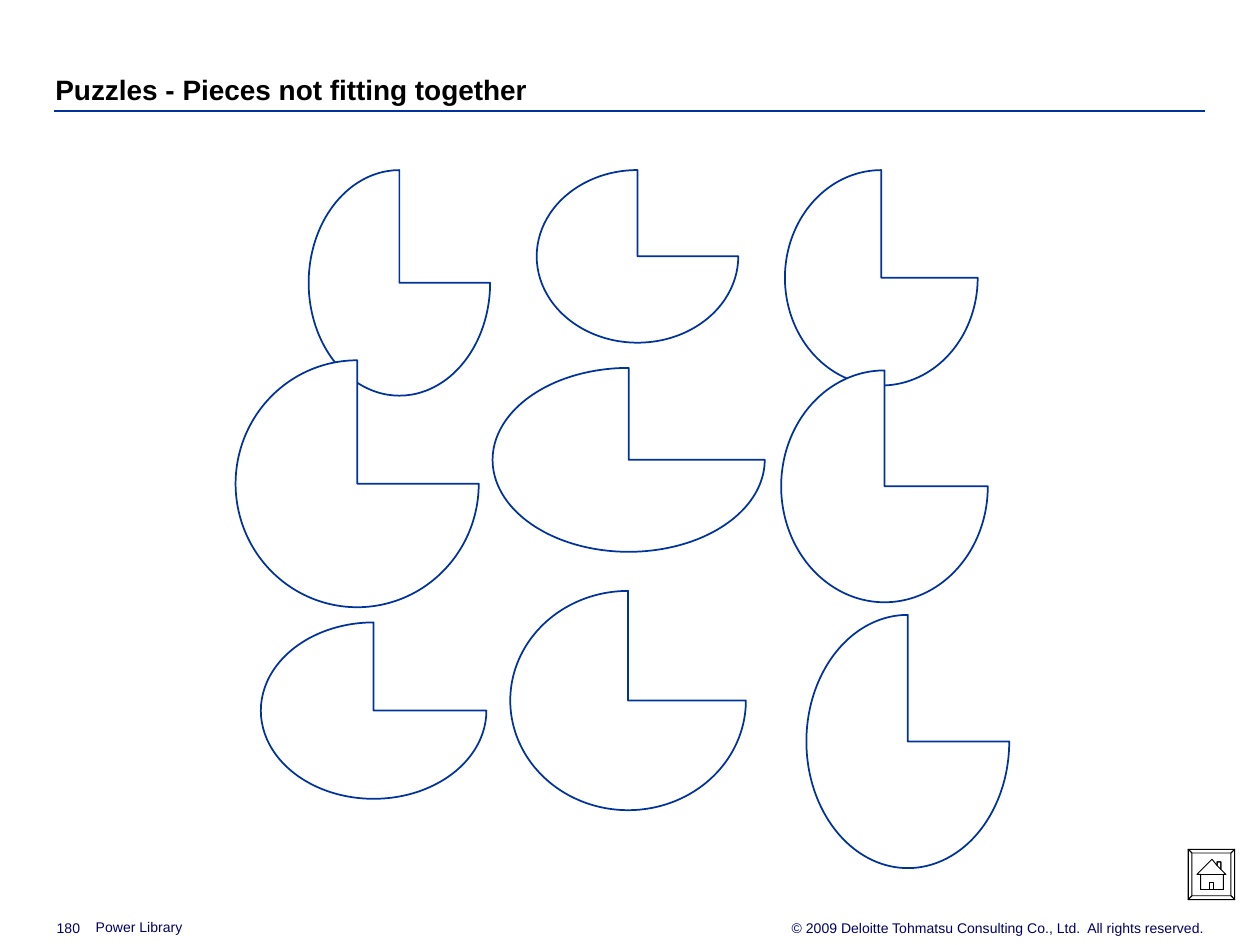
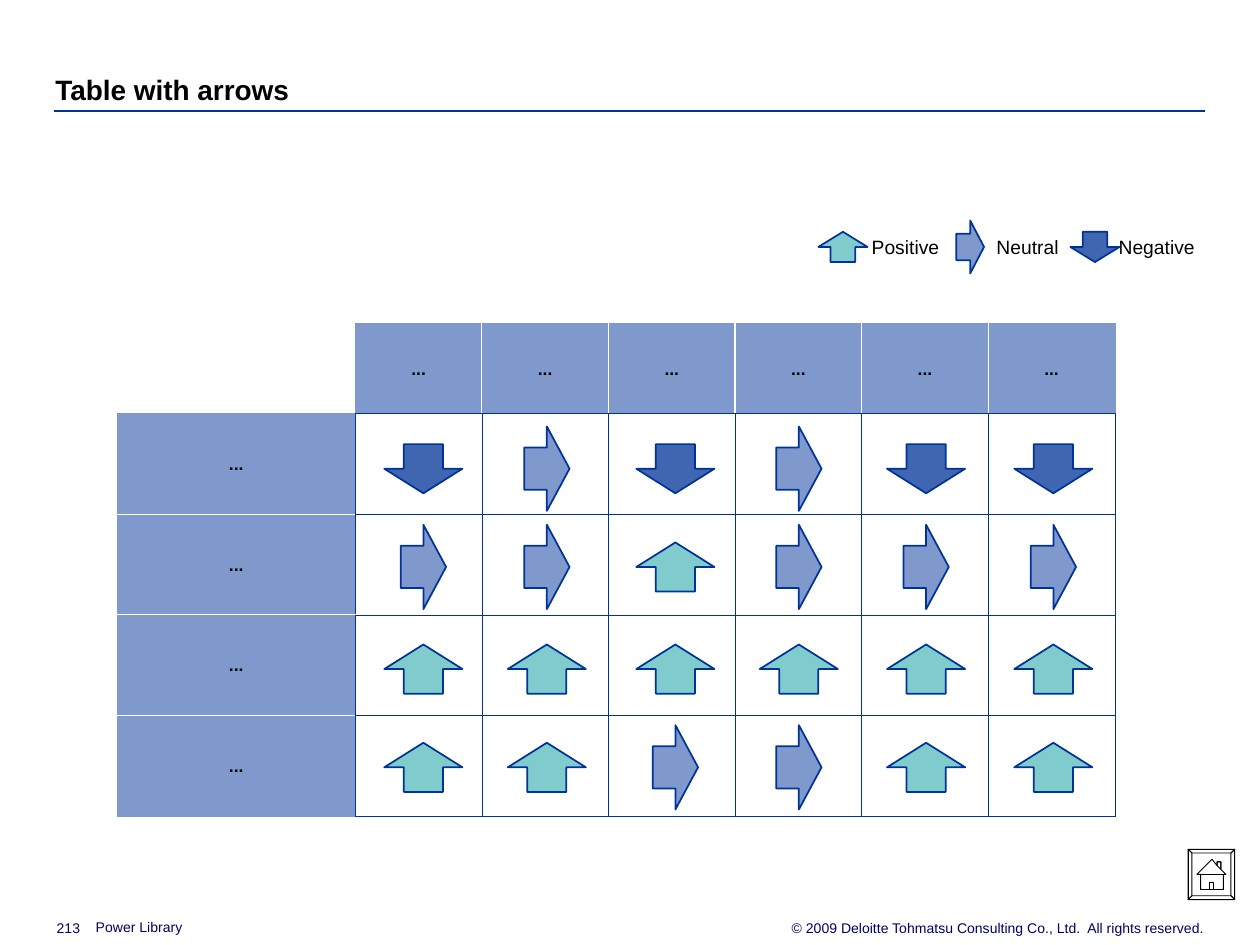
from dataclasses import dataclass

import pptx
import pptx.dml.color
import pptx.enum.shapes
import pptx.enum.text
import pptx.oxml.ns
import pptx.util
from lxml import etree

Inches, Pt = pptx.util.Inches, pptx.util.Pt
SHAPE = pptx.enum.shapes.MSO_SHAPE
ALIGN = pptx.enum.text.PP_ALIGN
ANCHOR = pptx.enum.text.MSO_ANCHOR
qn = pptx.oxml.ns.qn


@dataclass(frozen=True)
class Theme:
    font: str = "Arial"
    black: str = "000000"
    white: str = "FFFFFF"
    navy: str = "003399"
    footer: str = "000066"
    band: str = "8099CC"
    teal: str = "80CCCC"
    blue: str = "4066B2"
    title_size: float = 16
    legend_size: float = 11
    table_size: float = 10
    footer_size: float = 8
    line_spacing: float = 1.06


T = Theme()

LIBRARY = "Power Library"
COPYRIGHT = "© 2009 Deloitte Tohmatsu Consulting Co., Ltd.  All rights reserved."

# Outlines of the home button, in hundredths of an inch
HOME_BUTTON = [
    [(943, 674), (980, 674), (980, 714), (943, 714)],
    [(943, 674), (980, 674), (977, 677), (946, 677)],
    [(980, 674), (980, 714), (977, 711), (977, 677)],
    [(980, 714), (943, 714), (946, 711), (977, 711)],
    [(943, 714), (943, 674), (946, 677), (946, 711)],
    [(962, 682), (966, 687), (966, 684), (969, 684), (969, 690), (973, 694),
     (971, 694), (971, 706), (953, 706), (953, 694), (950, 694)],
    [(966, 687), (966, 684), (969, 684), (969, 690)],
    [(960, 700), (963, 700), (963, 706), (971, 706), (971, 694), (953, 694),
     (953, 706), (960, 706)],
]

# Puzzle pieces from back to front: left, top, width, height
PIECES = [
    (2.45, 1.35, 1.44, 1.79), (4.26, 1.35, 1.6, 1.37), (6.23, 1.35, 1.53, 1.71),
    (1.87, 2.86, 1.93, 1.96), (3.91, 2.92, 2.16, 1.46), (4.05, 4.69, 1.87, 1.74),
    (2.07, 4.94, 1.79, 1.4), (6.2, 2.94, 1.64, 1.84), (6.4, 4.88, 1.61, 2.01),
]

# Rating: colour, rotation, arrow size in the table, arrow size in the legend
RATINGS = {
    "Positive": (T.teal, 0, (0.62, 0.39), (0.39, 0.24)),
    "Neutral": (T.band, 90, (0.67, 0.36), (0.42, 0.22)),
    "Negative": (T.blue, 180, (0.62, 0.39), (0.39, 0.24)),
}
LETTERS = {name[:3]: name for name in RATINGS}
GRID = [
    "Neg Neu Neg Neu Neg Neg",
    "Neu Neu Pos Neu Neu Neu",
    "Pos Pos Pos Pos Pos Pos",
    "Pos Pos Neu Neu Pos Pos",
]
ARROW_X = [3.36, 4.34, 5.36, 6.34, 7.35, 8.36]
ARROW_Y = [3.72, 4.5, 5.31, 6.09]
# Rating, arrow centre, label left, label width
LEGEND = [
    ("Positive", 6.69, 6.82, 0.73),
    ("Neutral", 7.7, 7.81, 0.69),
    ("Negative", 8.69, 8.78, 0.8),
]
LEGEND_Y = 1.96

TABLE_LEFT, TABLE_TOP, TABLE_WIDTH = 0.93, 2.57, 7.92
LABEL_WIDTH, HEADER_HEIGHT, ROW_HEIGHT = 1.89, 0.71, 0.8
HEADING = "..."


def rgb(value):
    return pptx.dml.color.RGBColor.from_string(value)


def box(left, top, width, height):
    return [Inches(v) for v in (left, top, width, height)]


def set_text(tf, text, size, color, bold=False, align=ALIGN.LEFT, spacing=None):
    p = tf.paragraphs[0]
    p.text = text
    p.alignment = align
    p.line_spacing = spacing
    p.font.name = T.font
    p.font.size = Pt(size)
    p.font.bold = bold
    p.font.color.rgb = rgb(color)


def add_text(slide, at, text, size, color, anchor=ANCHOR.BOTTOM, **style):
    """Add a wrapping text box without margins."""
    tf = slide.shapes.add_textbox(*box(*at)).text_frame
    tf.margin_left = tf.margin_right = tf.margin_top = tf.margin_bottom = 0
    tf.word_wrap = True
    tf.vertical_anchor = anchor
    set_text(tf, text, size, color, **style)


def add_outlined(slide, kind, at, fill):
    sp = slide.shapes.add_shape(kind, *box(*at))
    sp.shadow.inherit = False
    sp.fill.solid()
    sp.fill.fore_color.rgb = rgb(fill)
    sp.line.color.rgb = rgb(T.navy)
    sp.line.width = Pt(1)
    return sp


def add_home_button(slide):
    first, *others = HOME_BUTTON
    builder = slide.shapes.build_freeform(*first[0], scale=Inches(0.01))
    builder.add_line_segments(first[1:], close=True)
    for outline in others:
        builder.move_to(*outline[0])
        builder.add_line_segments(outline[1:], close=True)
    sp = builder.convert_to_shape()
    sp.shadow.inherit = False
    sp.fill.background()
    sp.line.color.rgb = rgb(T.black)
    sp.line.width = Pt(0.5)


def add_base_slide(prs, title, number):
    """Add a slide with the title, rule, footers and home button."""
    slide = prs.slides.add_slide(prs.slide_layouts[6])
    rule = slide.shapes.add_connector(
        pptx.enum.shapes.MSO_CONNECTOR.STRAIGHT, *box(0.43, 0.88, 9.56, 0.88))
    rule.line.color.rgb = rgb(T.navy)
    rule.line.width = Pt(1.5)
    etree.SubElement(rule._element.spPr, qn("a:effectLst"))
    add_text(slide, (5.76, 7.3, 3.8, 0.13), COPYRIGHT, T.footer_size, T.footer,
             anchor=ANCHOR.TOP, align=ALIGN.RIGHT)
    add_home_button(slide)
    add_text(slide, (0.76, 7.29, 4.42, 0.13), LIBRARY, T.footer_size, T.footer)
    add_text(slide, (0.45, 7.3, 0.32, 0.13), str(number), T.footer_size, T.footer)
    add_text(slide, (0.44, 0.56, 9.13, 0.28), title, T.title_size, T.black,
             bold=True, spacing=T.line_spacing)
    return slide


def cell_kind(row, col):
    if not (0 <= row <= len(GRID) and 0 <= col <= len(ARROW_X)):
        return "outside"
    if row and col:
        return "body"
    return "heading" if row or col else "corner"


def border_style(kind, neighbour):
    """Return colour and width of the border between two kinds of cell."""
    pair = {kind, neighbour}
    if "body" in pair:
        return T.navy, 0.45
    if "heading" in pair and len(pair) == 2:
        return T.band, 0.45
    return T.white, 0.75


def set_borders(cell, row, col):
    sides = {"L": (row, col - 1), "R": (row, col + 1),
             "T": (row - 1, col), "B": (row + 1, col)}
    tc_pr = cell._tc.get_or_add_tcPr()
    for i, (side, neighbour) in enumerate(sides.items()):
        color, width = border_style(cell_kind(row, col), cell_kind(*neighbour))
        ln = etree.Element(qn(f"a:ln{side}"), w=str(Pt(width)))
        fill = etree.SubElement(ln, qn("a:solidFill"))
        etree.SubElement(fill, qn("a:srgbClr"), val=color)
        tc_pr.insert(i, ln)


def add_rating_table(slide):
    rows, cols = len(GRID) + 1, len(ARROW_X) + 1
    height = HEADER_HEIGHT + ROW_HEIGHT * len(GRID)
    table = slide.shapes.add_table(
        rows, cols, *box(TABLE_LEFT, TABLE_TOP, TABLE_WIDTH, height)).table
    table.first_row = table.horz_banding = False
    column_width = (TABLE_WIDTH - LABEL_WIDTH) / len(ARROW_X)
    for c, column in enumerate(table.columns):
        column.width = Inches(column_width if c else LABEL_WIDTH)
    for r, row in enumerate(table.rows):
        row.height = Inches(ROW_HEIGHT if r else HEADER_HEIGHT)
        for c, cell in enumerate(row.cells):
            kind = cell_kind(r, c)
            if kind == "corner":
                cell.fill.background()
            else:
                cell.fill.solid()
                cell.fill.fore_color.rgb = rgb(T.white if kind == "body" else T.band)
            if kind == "heading":
                cell.vertical_anchor = ANCHOR.MIDDLE
                set_text(cell.text_frame, HEADING, T.table_size, T.black, bold=True,
                         align=ALIGN.CENTER, spacing=T.line_spacing)
            set_borders(cell, r, c)


def add_rating_arrow(slide, rating, x, y, in_legend=False):
    """Add the arrow of a rating, centred on x, y."""
    color, rotation, table_size, legend_size = RATINGS[rating]
    w, h = legend_size if in_legend else table_size
    sp = add_outlined(slide, SHAPE.UP_ARROW, (x - w / 2, y - h / 2, w, h), color)
    sp.rotation = rotation


def add_legend_label(slide, text, left, width):
    """Add a one-line label; the zero right margin leaves the text room."""
    tf = slide.shapes.add_textbox(*box(left, 1.82, width, 0.29)).text_frame
    tf.word_wrap = False
    tf.margin_right = 0
    set_text(tf, text, T.legend_size, T.black)


def build_puzzle_slide(prs):
    slide = add_base_slide(prs, "Puzzles - Pieces not fitting together", 180)
    for piece in PIECES:
        add_outlined(slide, SHAPE.PIE, piece, T.white)


def build_arrow_table_slide(prs):
    slide = add_base_slide(prs, "Table with arrows", 213)
    add_rating_table(slide)
    for line, y in zip(GRID, ARROW_Y):
        for letters, x in zip(line.split(), ARROW_X):
            add_rating_arrow(slide, LETTERS[letters], x, y)
    for rating, x, left, width in LEGEND:
        add_legend_label(slide, rating, left, width)
        add_rating_arrow(slide, rating, x, LEGEND_Y, in_legend=True)


def main():
    prs = pptx.Presentation()
    prs.slide_width, prs.slide_height = Inches(10), Inches(7.5)
    build_puzzle_slide(prs)
    build_arrow_table_slide(prs)
    prs.save("out.pptx")


if __name__ == "__main__":
    main()
